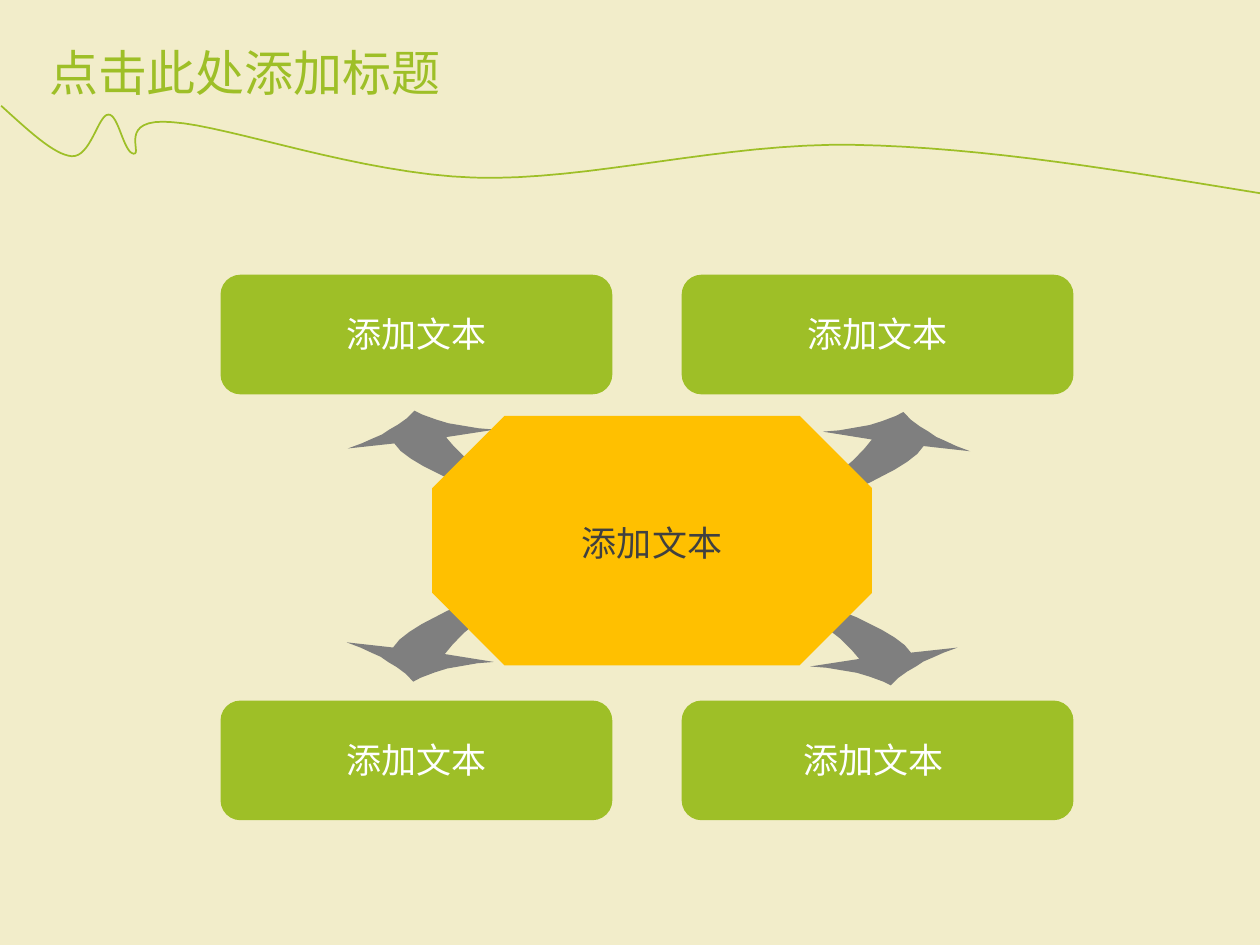
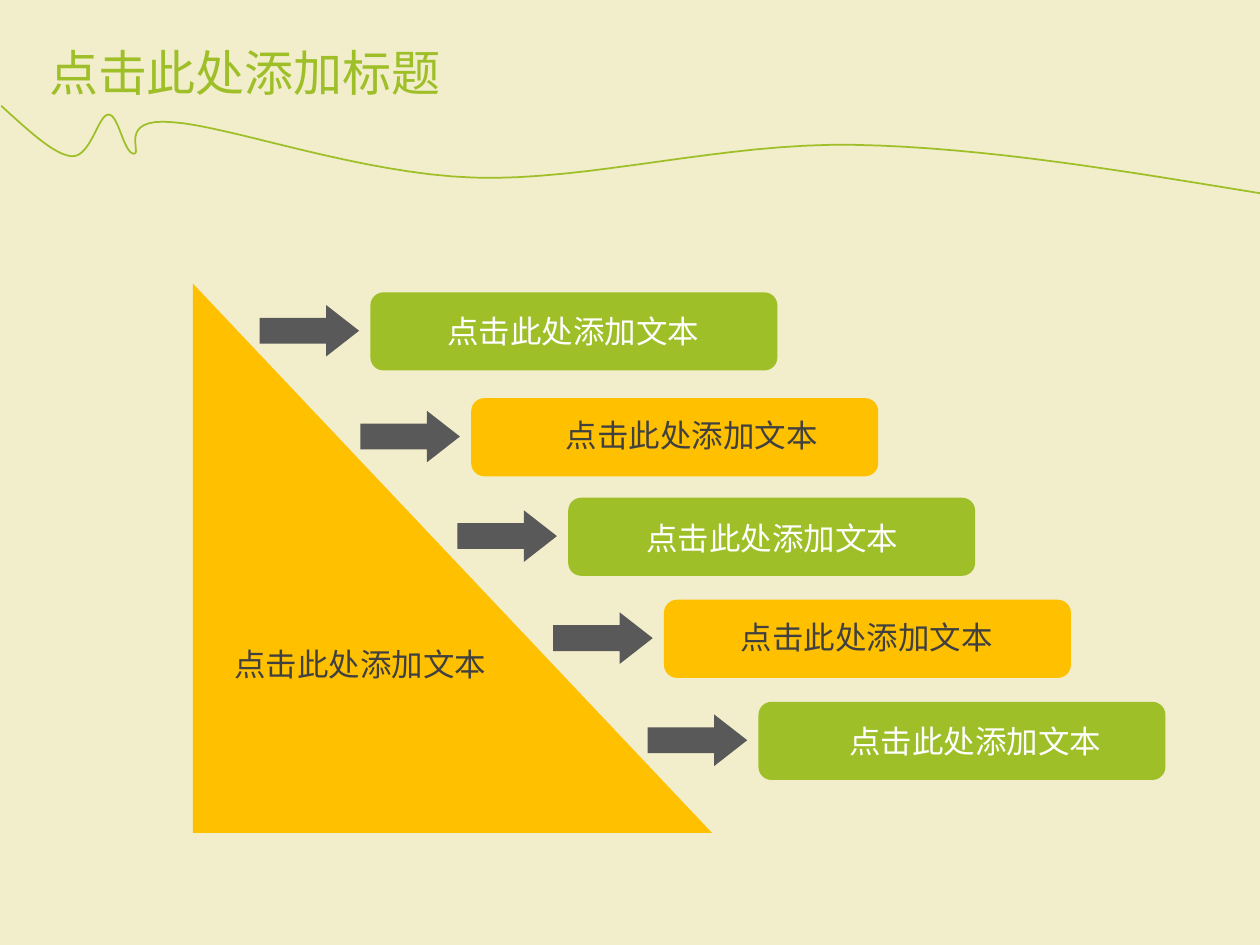
import pptx
import pptx.util
import pptx.dml.color
import pptx.enum.shapes
import pptx.enum.text
import lxml.etree

Inches = pptx.util.Inches
KIND = pptx.enum.shapes.MSO_SHAPE

# Theme
THEME = {
    "paper": "F2EDCA", "green": "9EBF27", "gold": "FFC000",
    "gray": "7F7F7F", "slate": "595959", "dark": "404040", "white": "FFFFFF",
    "font": "Noto Sans CJK SC", "title": 28, "large": 20, "body": 18,
}

# Content shared by both slides
TITLE = ("点击此处添加标题", 0.29, 0.29, 3.6, 0.57)
WAVE_START = (0.01, 0.84)
WAVE = [  # two control points and an end point per curve
    ((0.22, 1.03), (0.43, 1.23), (0.57, 1.24)),
    ((0.72, 1.25), (0.78, 0.91), (0.86, 0.91)),
    ((0.94, 0.9), (0.98, 1.21), (1.06, 1.22)),
    ((1.14, 1.23), (0.92, 0.93), (1.37, 0.97)),
    ((1.82, 1), (2.86, 1.38), (3.76, 1.41)),
    ((4.67, 1.44), (5.74, 1.13), (6.78, 1.15)),
    ((7.83, 1.17), (8.93, 1.36), (10.04, 1.54)),
]

# Slide 1: four cards around a hub
CARD = "添加文本"
CARD_SIZE = (3.11, 0.95)
CARDS = [  # left, top, label inset
    (1.75, 2.18, 0.9), (5.41, 2.18, 0.9),
    (1.75, 5.56, 0.9), (5.41, 5.56, 0.87),
]
HUB = (3.43, 3.3, 3.49, 1.98)
SWOOSH_SIZE = (1.78, 0.74)
SWOOSH = [  # outline of the arrow that points up and left
    (1.78, 0.73), (1.68, 0.74), (1.57, 0.74), (1.46, 0.73), (1.36, 0.72),
    (1.24, 0.7), (1.13, 0.67), (1.01, 0.63), (0.9, 0.58), (0.8, 0.54),
    (0.7, 0.49), (0.6, 0.44), (0.5, 0.38), (0.42, 0.32), (0.37, 0.26),
    (0, 0.3), (0.11, 0.26), (0.2, 0.22), (0.27, 0.19), (0.33, 0.15),
    (0.4, 0.11), (0.47, 0.06), (0.53, 0), (0.59, 0.03), (0.7, 0.07),
    (0.8, 0.1), (0.92, 0.12), (1.04, 0.14), (1.17, 0.15), (0.78, 0.21),
    (0.84, 0.28), (0.93, 0.37), (1.02, 0.44), (1.13, 0.53), (1.24, 0.59),
    (1.36, 0.65), (1.52, 0.69), (1.68, 0.72),
]
TURNS = [  # left, top, height, flip across, flip down
    (5.92, 3.27, 0.77, True, False), (5.82, 4.7, 0.74, True, True),
    (2.75, 4.64, 0.77, False, True), (2.76, 3.26, 0.74, False, False),
]

# Slide 2: steps down a slope
STEP = "点击此处添加文本"
SLOPE = (1.53, 2.25, 4.12, 4.36)
SLOPE_TEXT = (1.76, 5.07)
STEP_SIZE = (3.23, 0.62)
ARROW_SIZE = (0.79, 0.41)
ARROW_SHIFT = (-0.88, 0.1)
STEPS = [  # left, top, label left, label top
    (2.94, 2.32, 3.45, 2.43), (3.74, 3.16, 4.39, 3.25),
    (4.51, 3.95, 5.03, 4.07), (5.27, 4.76, 5.78, 4.86),
    (6.02, 5.57, 6.64, 5.68),
]


# Helpers
def color(name):
    return pptx.dml.color.RGBColor.from_string(THEME[name])


def paint(shape, fill):
    shape.shadow.inherit = False
    shape.fill.solid()
    shape.fill.fore_color.rgb = color(fill)
    shape.line.fill.background()


def add_part(slide, kind, box, fill):
    shape = slide.shapes.add_shape(kind, *map(Inches, box))
    paint(shape, fill)
    return shape


def add_path(slide, points, close):
    dots = [(Inches(x), Inches(y)) for x, y in points]
    pen = slide.shapes.build_freeform(*dots[0])
    pen.add_line_segments(dots[1:], close=close)
    return pen.convert_to_shape()


def write(shape, words, size, tint):
    frame = shape.text_frame
    frame.word_wrap = False
    frame.auto_size = pptx.enum.text.MSO_AUTO_SIZE.NONE
    frame.vertical_anchor = pptx.enum.text.MSO_ANCHOR.TOP
    para = frame.paragraphs[0]
    para.alignment = pptx.enum.text.PP_ALIGN.LEFT
    run = para.add_run()
    run.text = words
    run.font.size = pptx.util.Pt(THEME[size])
    run.font.color.rgb = color(tint)
    run.font.name = THEME["font"]
    props = run._r.get_or_add_rPr()
    east = lxml.etree.SubElement(props, pptx.oxml.ns.qn("a:ea"))
    east.set("typeface", THEME["font"])


def add_label(slide, words, left, top, size, tint):
    wide, high = (1.31, 0.44) if size == "large" else (2.2, 0.4)
    box = slide.shapes.add_textbox(*map(Inches, (left, top, wide, high)))
    write(box, words, size, tint)


def add_page(deck):
    slide = deck.slides.add_slide(deck.slide_layouts[5])
    words, *box = TITLE
    title = slide.shapes.title
    title.left, title.top, title.width, title.height = map(Inches, box)
    write(title, words, "title", "green")
    return slide


def trace(start, curves, count=16):
    points = [start]
    for one, two, end in curves:
        for step in range(1, count + 1):
            t = step / count
            u = 1 - t
            points.append(tuple(
                u**3 * a + 3 * u * u * t * b + 3 * u * t * t * c + t**3 * d
                for a, b, c, d in zip(start, one, two, end)))
        start = end
    return points


# Background and wave sit on the master
def dress(deck, slide):
    master = deck.slide_master
    master.background.fill.solid()
    master.background.fill.fore_color.rgb = color("paper")
    wave = add_path(slide, trace(WAVE_START, WAVE), False)
    wave.shadow.inherit = False
    wave.fill.background()
    wave.line.color.rgb = color("green")
    wave.line.width = pptx.util.Pt(1)
    master.shapes.element.append(wave.element)


def fill_hub(slide):
    wide, high = SWOOSH_SIZE
    for left, top, tall, across, down in TURNS:
        points = [(left + (wide - x if across else x),
                   top + (high - y if down else y) * tall / high)
                  for x, y in SWOOSH]
        paint(add_path(slide, points, True), "gray")
    hub = add_part(slide, KIND.OCTAGON, HUB, "gold")
    hub.adjustments[0] = 0.29
    for left, top, inset in CARDS:
        add_part(slide, KIND.ROUNDED_RECTANGLE,
                 (left, top, *CARD_SIZE), "green")
        add_label(slide, CARD, left + inset, top + 0.25, "large", "white")
    add_label(slide, CARD, 4.52, 4.09, "large", "dark")


def fill_slope(slide):
    shift_x, shift_y = ARROW_SHIFT
    add_part(slide, KIND.RIGHT_TRIANGLE, SLOPE, "gold")
    for index, (left, top, text_x, text_y) in enumerate(STEPS):
        fill, tint = [("green", "white"), ("gold", "dark")][index % 2]
        add_part(slide, KIND.ROUNDED_RECTANGLE,
                 (left, top, *STEP_SIZE), fill)
        arrow = add_part(slide, KIND.RIGHT_ARROW,
                         (left + shift_x, top + shift_y, *ARROW_SIZE), "slate")
        arrow.adjustments[1] = 0.64
        add_label(slide, STEP, text_x, text_y, "body", tint)
    add_label(slide, STEP, *SLOPE_TEXT, "body", "dark")


def main():
    deck = pptx.Presentation()
    deck.slide_width, deck.slide_height = Inches(10), Inches(7.5)
    first, second = add_page(deck), add_page(deck)
    dress(deck, first)
    fill_hub(first)
    fill_slope(second)
    deck.save("out.pptx")


if __name__ == "__main__":
    main()
